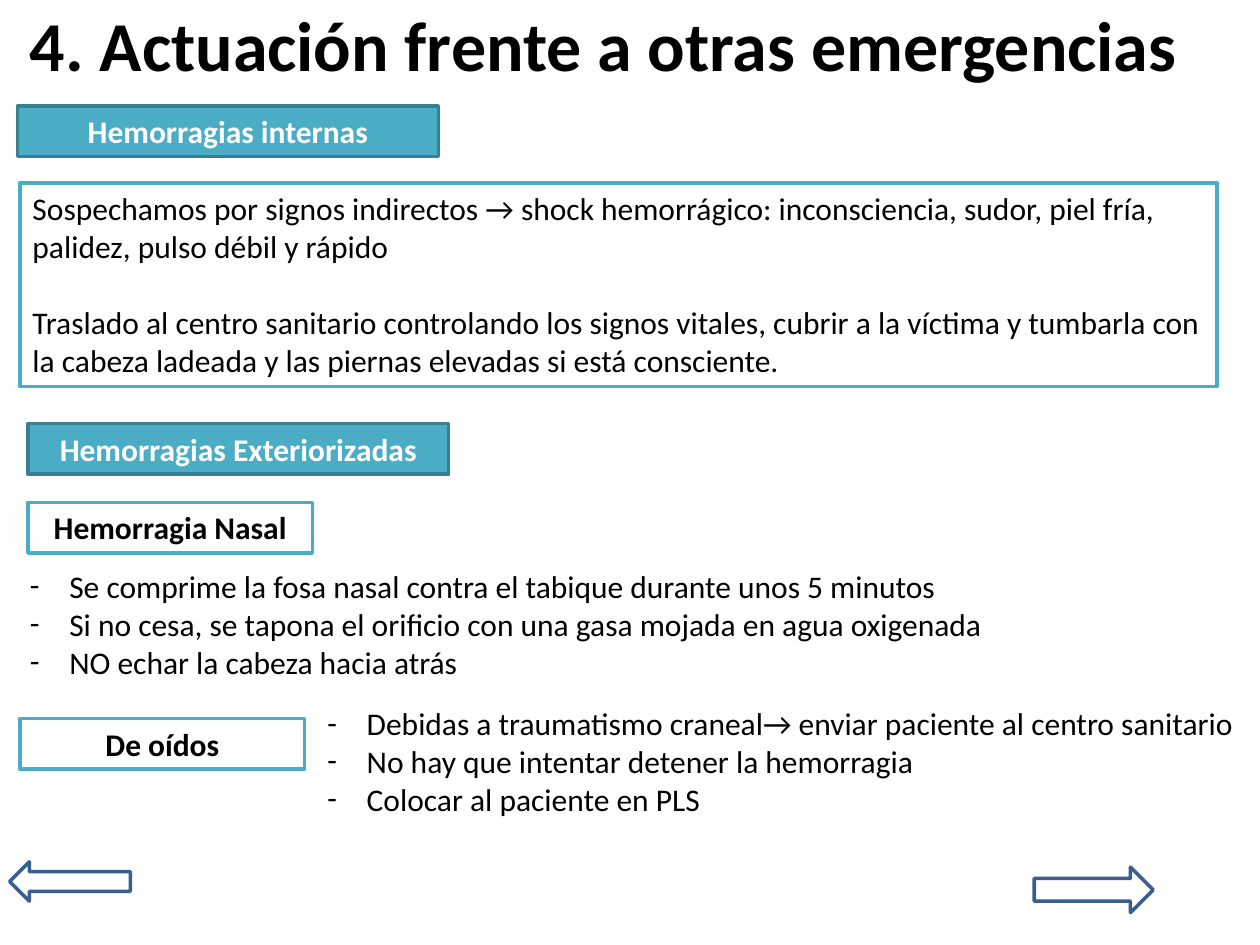
from lxml import etree
from pptx import Presentation
from pptx.dml.color import RGBColor
from pptx.enum.shapes import MSO_SHAPE
from pptx.enum.text import MSO_ANCHOR, PP_ALIGN
from pptx.oxml.ns import qn
from pptx.util import Pt

RECTANGLE = MSO_SHAPE.RECTANGLE
LEFT_ARROW, RIGHT_ARROW = MSO_SHAPE.LEFT_ARROW, MSO_SHAPE.RIGHT_ARROW
TOP, MIDDLE = MSO_ANCHOR.TOP, MSO_ANCHOR.MIDDLE
LEFT, CENTER = PP_ALIGN.LEFT, PP_ALIGN.CENTER
COLORS = {"black": "000000", "white": "FFFFFF", "teal": "4BACC6",
          "dark_teal": "377F92", "blue": "3A5F8C"}


def write(frame, paragraphs, size=18, color="black", bold=False, align=LEFT,
          anchor=TOP, gap=0, bullet=None):
    frame.word_wrap = True
    frame.vertical_anchor = anchor
    for index, text in enumerate(paragraphs):
        para = frame.add_paragraph() if index else frame.paragraphs[0]
        para.alignment = align
        if index and gap:
            para.space_before = Pt(gap)
        if bullet:
            properties = para._p.get_or_add_pPr()
            properties.set("marL", str(Pt(22.5)))
            properties.set("indent", str(Pt(-22.5)))
            font = etree.SubElement(properties, qn("a:buFont"))
            font.set("typeface", "Calibri")
            etree.SubElement(properties, qn("a:buChar")).set("char", bullet)
        span = para.add_run()
        span.text = text
        span.font.name = "Calibri"
        span.font.size = Pt(size)
        span.font.bold = bold
        span.font.color.rgb = RGBColor.from_string(COLORS[color])


class SlideBuilder:
    """Hold the shared style and the slide being built."""

    line_width = 2
    heading_size = (240.5, 29)
    label_size = (162.5, 29)

    def __init__(self, deck):
        self.page = deck.slides.add_slide(deck.slide_layouts[6])

    def text(self, left, top, width, height, paragraphs, **style):
        box = self.page.shapes.add_textbox(Pt(left), Pt(top), Pt(width), Pt(height))
        write(box.text_frame, paragraphs, **style)

    def shape(self, kind, left, top, width, height, line, fill=None):
        shape = self.page.shapes.add_shape(kind, Pt(left), Pt(top), Pt(width), Pt(height))
        shape.shadow.inherit = False
        if fill:
            shape.fill.solid()
            shape.fill.fore_color.rgb = RGBColor.from_string(COLORS[fill])
        else:
            shape.fill.background()
        shape.line.color.rgb = RGBColor.from_string(COLORS[line])
        shape.line.width = Pt(self.line_width)
        return shape

    def heading(self, left, top, text):
        box = self.shape(RECTANGLE, left, top, *self.heading_size, "dark_teal", "teal")
        write(box.text_frame, [text], color="white", bold=True, align=CENTER)

    def label(self, left, top, text):
        box = self.shape(RECTANGLE, left, top, *self.label_size, "teal", "white")
        write(box.text_frame, [text], bold=True, align=CENTER)

    def panel(self, left, top, width, height, paragraphs):
        box = self.shape(RECTANGLE, left, top, width, height, "teal", "white")
        write(box.text_frame, paragraphs, gap=22)

    def bullets(self, left, top, width, height, items):
        self.text(left, top, width, height, items, bullet="-")

    def arrow(self, kind, left, top, width, height):
        self.shape(kind, left, top, width, height, "blue")


def main():
    deck = Presentation()
    deck.slide_width, deck.slide_height = Pt(720), Pt(540)
    slide = SlideBuilder(deck)

    slide.text(10, 2, 678, 45.5, ["4. Actuación frente a otras emergencias"],
               size=40, bold=True, anchor=MIDDLE)
    slide.arrow(LEFT_ARROW, 5.5, 492.5, 69, 22.5)
    slide.arrow(RIGHT_ARROW, 591, 495.5, 68, 26)

    slide.heading(10, 60.5, "Hemorragias internas")
    slide.panel(11.5, 104.5, 684, 116.5, [
        "Sospechamos por signos indirectos → shock hemorrágico: inconsciencia, sudor, "
        "piel fría, palidez, pulso débil y rápido",
        "Traslado al centro sanitario controlando los signos vitales, cubrir a la víctima "
        "y tumbarla con la cabeza ladeada y las piernas elevadas si está consciente.",
    ])

    slide.heading(16, 242, "Hemorragias Exteriorizadas")
    slide.label(16, 287, "Hemorragia Nasal")
    slide.bullets(10, 320.5, 702, 72.5, [
        "Se comprime la fosa nasal contra el tabique durante unos 5 minutos",
        "Si no cesa, se tapona el orificio con una gasa mojada en agua oxigenada",
        "NO echar la cabeza hacia atrás",
    ])
    slide.label(11.5, 410.5, "De oídos")
    slide.bullets(180, 399, 540, 72.5, [
        "Debidas a traumatismo craneal→ enviar paciente al centro sanitario",
        "No hay que intentar detener la hemorragia",
        "Colocar al paciente en PLS",
    ])
    deck.save("out.pptx")


if __name__ == "__main__":
    main()
